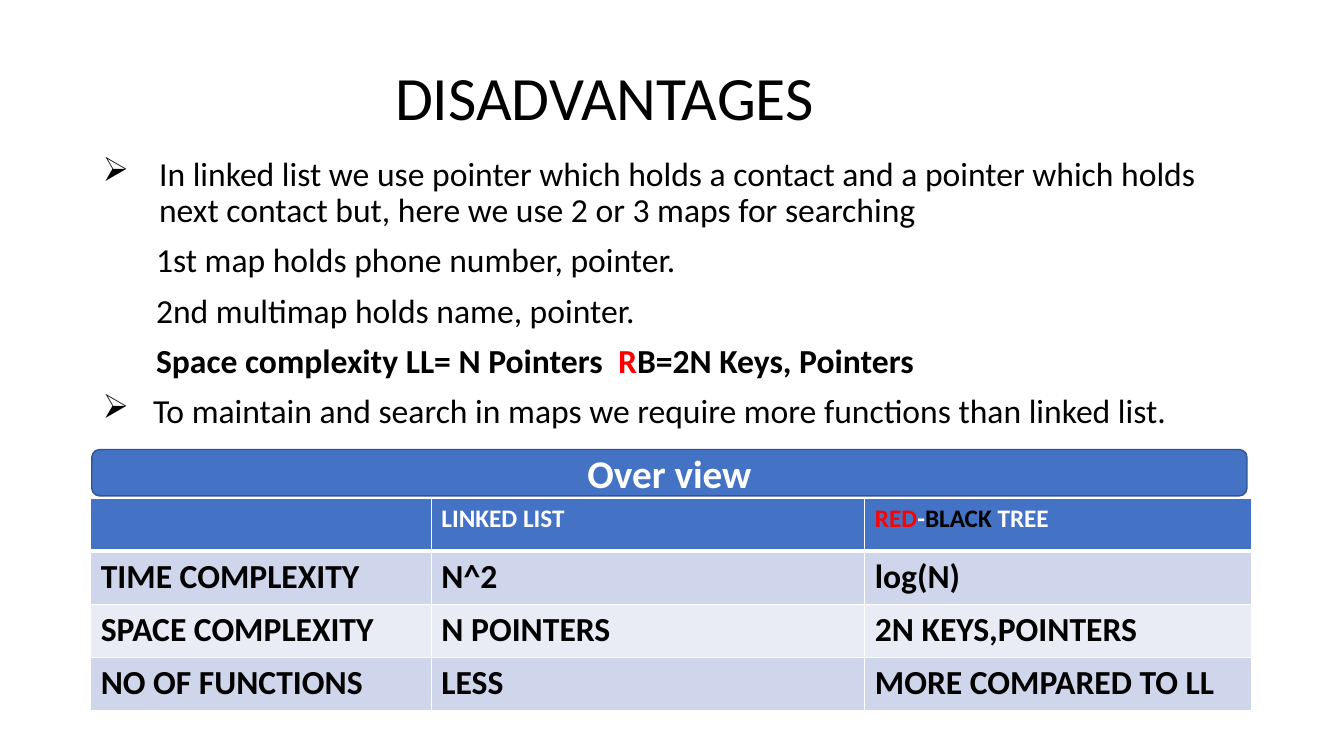
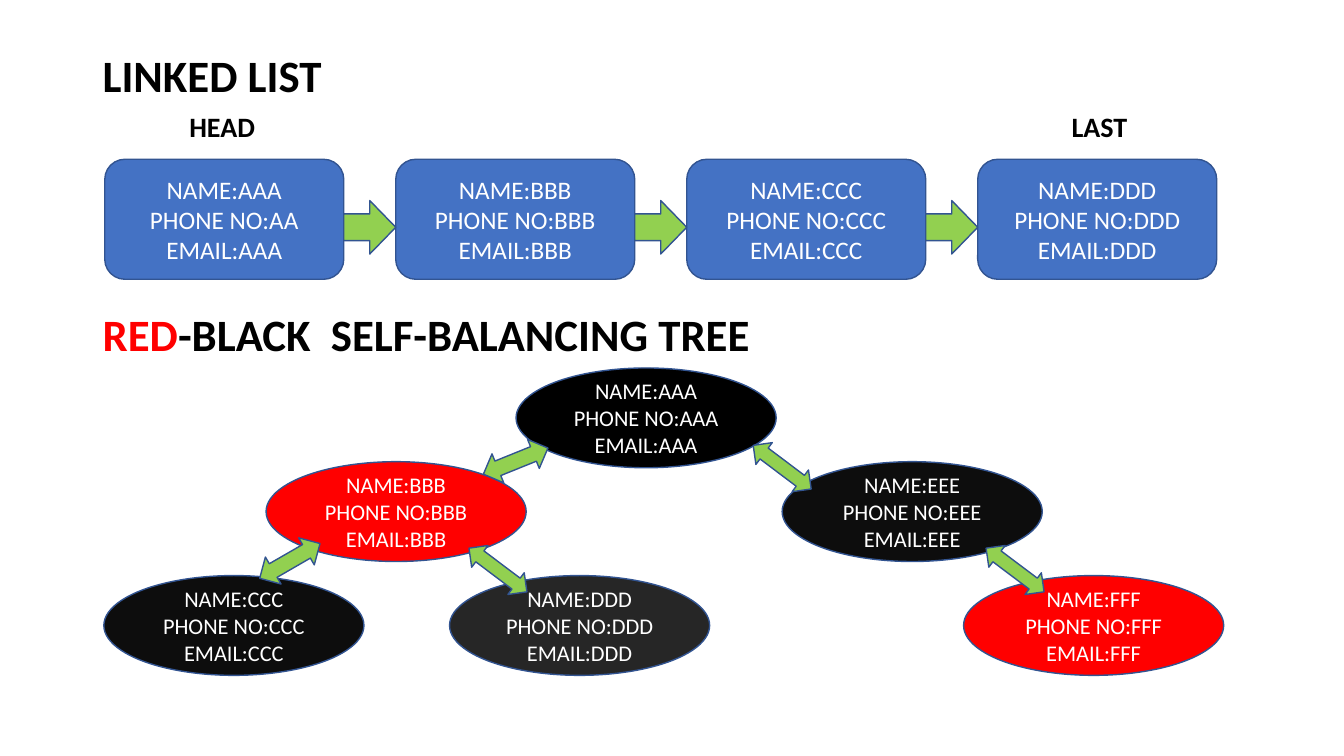
from lxml.etree import SubElement
from pptx import Presentation
from pptx.dml.color import RGBColor
from pptx.enum.shapes import MSO_SHAPE
from pptx.enum.text import MSO_ANCHOR, PP_ALIGN
from pptx.oxml.ns import qn
from pptx.util import Emu, Inches, Pt

BLUE, OUTLINE, GREEN = "4472C4", "325491", "92D050"
RED, BLACK, WHITE = "FF0000", "000000", "FFFFFF"
NEAR_BLACK, CHARCOAL = "0D0D0D", "262626"
BANDS = ["CFD5EA", "E9EBF5"]
LEFT = 6.9


def colour(value):
    return RGBColor.from_string(value)


class Builder:
    font = "Calibri"

    def __init__(self):
        self.deck = Presentation()
        self.deck.slide_width = Inches(13.33)
        self.deck.slide_height = Inches(7.5)
        self.page = None

    def new_page(self):
        self.page = self.deck.slides.add_slide(self.deck.slide_layouts[6])

    def across(self, share):
        return Emu(round(self.deck.slide_width * share / 100))

    def down(self, share):
        return Emu(round(self.deck.slide_height * share / 100))

    def place(self, left, top, width, height):
        return self.across(left), self.down(top), self.across(width), self.down(height)

    def set_spans(self, paragraph, spans, size, ink=BLACK, bold=False, align=None):
        spans = [spans] if isinstance(spans, str) else spans
        font = paragraph.font
        font.name, font.size, font.bold = self.font, Pt(size), bold
        font.color.rgb = colour(ink)
        if align is not None:
            paragraph.alignment = align
        for span in spans:
            text, tint = (span, None) if isinstance(span, str) else span
            run = paragraph.add_run()
            run.text = text
            if tint:
                run.font.color.rgb = colour(tint)

    def indent(self, paragraph, margin, bullet=None):
        properties = paragraph._p.get_or_add_pPr()
        properties.set("marL", str(Inches(margin)))
        properties.set("indent", str(-Inches(margin) if bullet else 0))
        if bullet:
            mark = properties.makeelement(qn("a:buChar"), {"char": bullet})
            properties.insert_element_before(mark, "a:tabLst", "a:defRPr", "a:extLst")

    def tab_stop(self, paragraph, position):
        properties = paragraph._p.get_or_add_pPr()
        stops = properties.makeelement(qn("a:tabLst"), {})
        SubElement(stops, qn("a:tab"), pos=str(self.across(position)), algn="l")
        properties.insert_element_before(stops, "a:defRPr", "a:extLst")

    def text(self, area, spans, size, bold=False, spacing=None, anchor=MSO_ANCHOR.TOP):
        frame = self.page.shapes.add_textbox(*self.place(*area)).text_frame
        frame.word_wrap = True
        frame.vertical_anchor = anchor
        paragraph = frame.paragraphs[0]
        paragraph.line_spacing = spacing
        self.set_spans(paragraph, spans, size, bold=bold)
        return paragraph

    def outline(self, area, items, size):
        frame = self.page.shapes.add_textbox(*self.place(*area)).text_frame
        frame.word_wrap = True
        for index, (spans, margin, bullet, bold) in enumerate(items):
            paragraph = frame.add_paragraph() if index else frame.paragraphs[0]
            paragraph.line_spacing = 0.9
            paragraph.space_before = Pt(10)
            self.set_spans(paragraph, spans, size, bold=bold)
            self.indent(paragraph, margin, bullet)

    def shape(self, kind, area, fill, lines=(), size=18, bold=False, turn=0):
        box = self.page.shapes.add_shape(kind, *self.place(*area))
        box.shadow.inherit = False
        box.rotation = turn
        box.fill.solid()
        box.fill.fore_color.rgb = colour(fill)
        box.line.color.rgb = colour(OUTLINE)
        box.line.width = Pt(1)
        frame = box.text_frame
        frame.vertical_anchor = MSO_ANCHOR.MIDDLE
        for index, line in enumerate(lines):
            paragraph = frame.add_paragraph() if index else frame.paragraphs[0]
            self.set_spans(paragraph, line, size, WHITE, bold, PP_ALIGN.CENTER)

    def contact(self, kind, area, fill, name, size, phone=None):
        lines = [f"NAME:{name}", f"PHONE NO:{phone or name}", f"EMAIL:{name}"]
        self.shape(kind, area, fill, lines, size)

    def border(self, cell, side, width):
        properties = cell._tc.get_or_add_tcPr()
        edge = properties.makeelement(qn(f"a:{side}"), {"w": str(Pt(width))})
        SubElement(SubElement(edge, qn("a:solidFill")), qn("a:srgbClr"), val=WHITE)
        properties.append(edge)

    def table(self, area, widths, rows):
        table = self.page.shapes.add_table(len(rows), len(widths), *self.place(*area)).table
        for column, width in zip(table.columns, widths):
            column.width = self.across(width)
        for index, row in enumerate(rows):
            header = index == 0
            for cell, spans in zip(table.rows[index].cells, row):
                for side in ("lnL", "lnR", "lnT", "lnB"):
                    thick = (header and side == "lnB") or (index == 1 and side == "lnT")
                    self.border(cell, side, 3 if thick else 1)
                cell.fill.solid()
                cell.fill.fore_color.rgb = colour(BLUE if header else BANDS[(index - 1) % 2])
                self.set_spans(cell.text_frame.paragraphs[0], spans,
                               18 if header else 24, WHITE if header else BLACK, True)


def disadvantages(builder):
    builder.new_page()
    title = builder.text((LEFT, 7.6, 86.25, 11.33), "DISADVANTAGES", 44,
                         spacing=0.9, anchor=MSO_ANCHOR.MIDDLE)
    builder.indent(title, 2.9)
    builder.outline((LEFT, 20.13, 86.25, 39.07), [
        ("In linked list we use pointer which holds a contact and a pointer which "
         "holds next contact but, here we use 2 or 3 maps for searching", 0.56, "➢", False),
        ("1st map holds phone number, pointer.", 0.53, None, False),
        ("2nd multimap holds name, pointer.", 0.53, None, False),
        (["Space complexity LL= N Pointers  ", ("R", RED), "B=2N Keys, Pointers"],
         0.53, None, True),
        ("To maintain and search in maps we require more functions than linked list.",
         0.5, "➢", False),
    ], 24)
    builder.table((6.75, 65.87, 86.4, 28.13), [25.35, 32.25, 28.8], [
        [[], "LINKED LIST", [("RED", RED), "-", ("BLACK", BLACK), " TREE"]],
        ["TIME COMPLEXITY", "N^2", "log(N)"],
        ["SPACE COMPLEXITY", "N POINTERS", "2N KEYS,POINTERS"],
        ["NO OF FUNCTIONS", "LESS", "MORE COMPARED TO LL"],
    ])
    builder.shape(MSO_SHAPE.ROUNDED_RECTANGLE, (6.83, 59.47, 85.95, 6.13), BLUE,
                  ["Over view"], 28, True)


def structures(builder):
    builder.new_page()
    builder.text((LEFT, 40.67, 81.9, 7.87),
                 [("RED", RED), "-BLACK  SELF-BALANCING TREE"], 32, True, 0.9)
    builder.text((LEFT, 5.6, 19.8, 8.53), "LINKED LIST", 32, True)

    first, pitch, width = 7.8, 21.65, 17.78
    nodes = [("AAA", "AA"), ("BBB", None), ("CCC", None), ("DDD", None)]
    for index, (name, phone) in enumerate(nodes):
        builder.contact(MSO_SHAPE.ROUNDED_RECTANGLE,
                        (first + index * pitch, 21.07, width, 15.87), BLUE, name, 18, phone)
    for index in range(len(nodes) - 1):
        builder.shape(MSO_SHAPE.RIGHT_ARROW,
                      (first + index * pitch + width, 26.53, pitch - width, 7.07), GREEN)
    ends = builder.text((13.35, 13.87, 74.48, 5.87), "HEAD\tLAST", 20, True)
    builder.tab_stop(ends, 65.65)

    root, middle, bottom = 48.67, 61.07, 76.13
    for name, left, top, fill in [
        ("AAA", 38.4, root, BLACK),
        ("BBB", 19.8, middle, RED),
        ("EEE", 58.2, middle, NEAR_BLACK),
        ("CCC", 7.73, bottom, NEAR_BLACK),
        ("DDD", 33.45, bottom, CHARCOAL),
        ("FFF", 71.7, bottom, RED),
    ]:
        builder.contact(MSO_SHAPE.OVAL, (left, top, 19.35, 13.2), fill, name, 16)

    rising, falling = (5.18, 4.13), (5.4, 3.6)
    for left, top, extent, turn in [
        (35.78, 58.93, rising, 338),
        (18.98, 72.13, rising, 330),
        (34.35, 73.6, falling, 37),
        (55.5, 60, falling, 37),
        (72.83, 73.6, falling, 37),
    ]:
        builder.shape(MSO_SHAPE.LEFT_RIGHT_ARROW, (left, top, *extent), GREEN, turn=turn)


builder = Builder()
disadvantages(builder)
structures(builder)
builder.deck.save("out.pptx")
